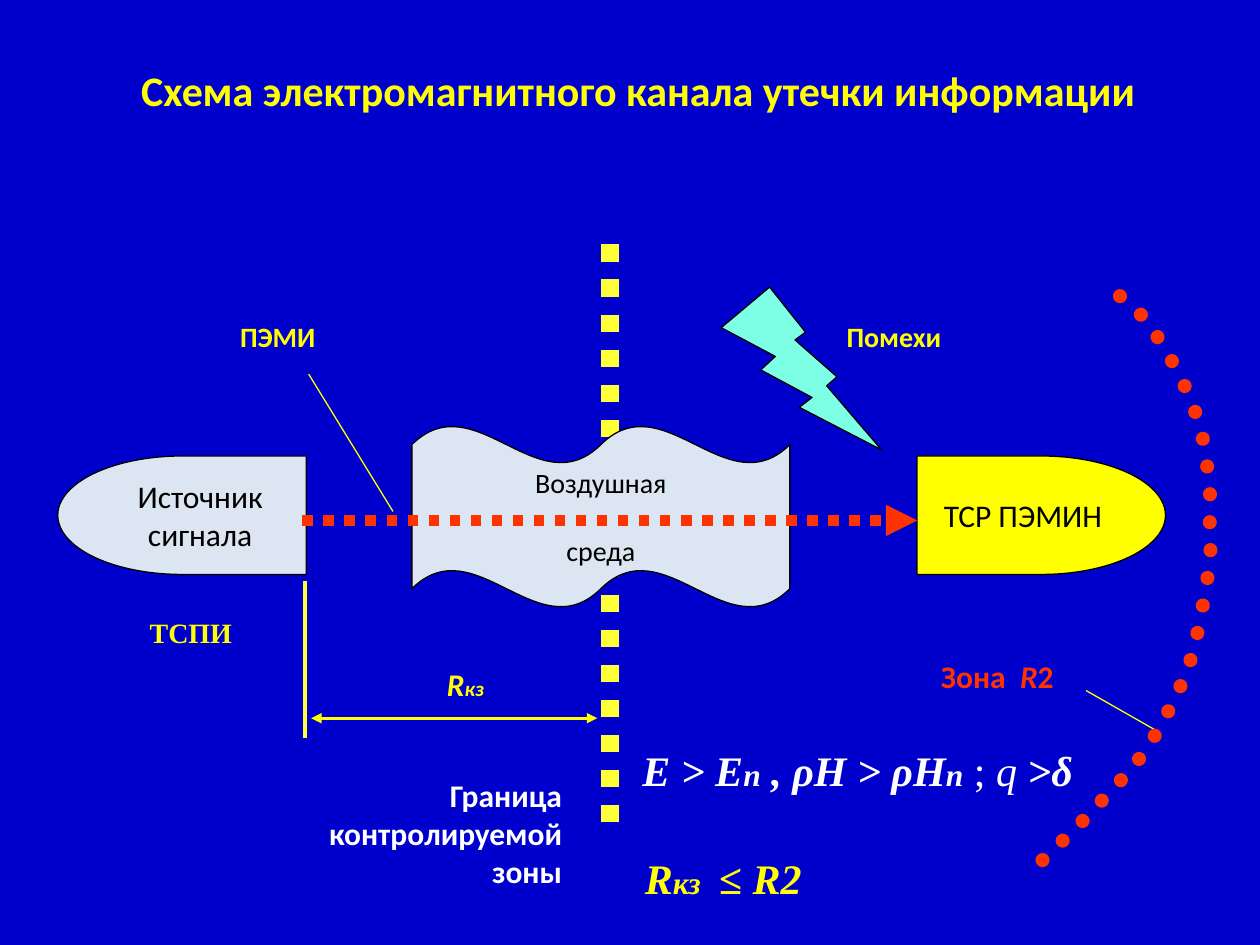
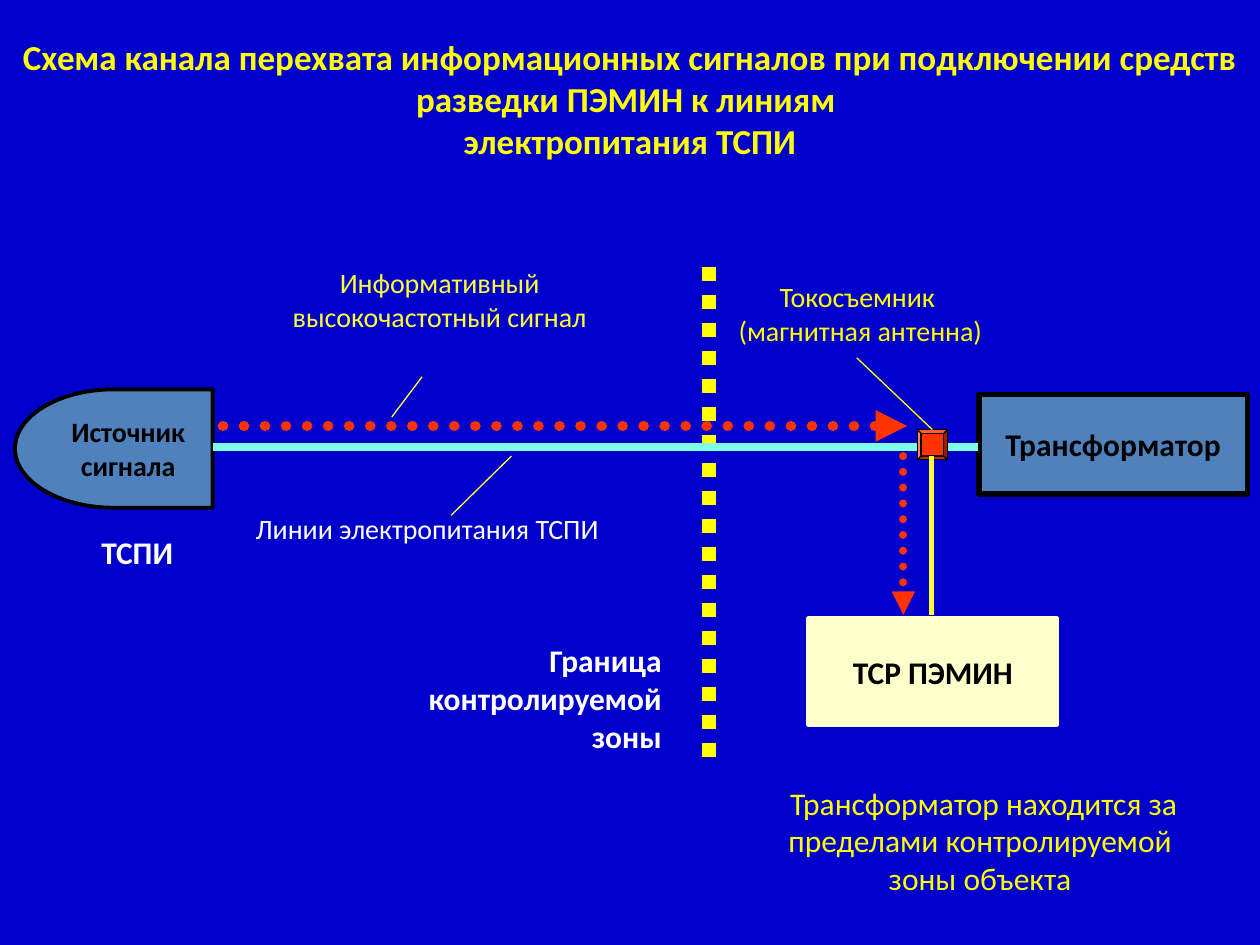
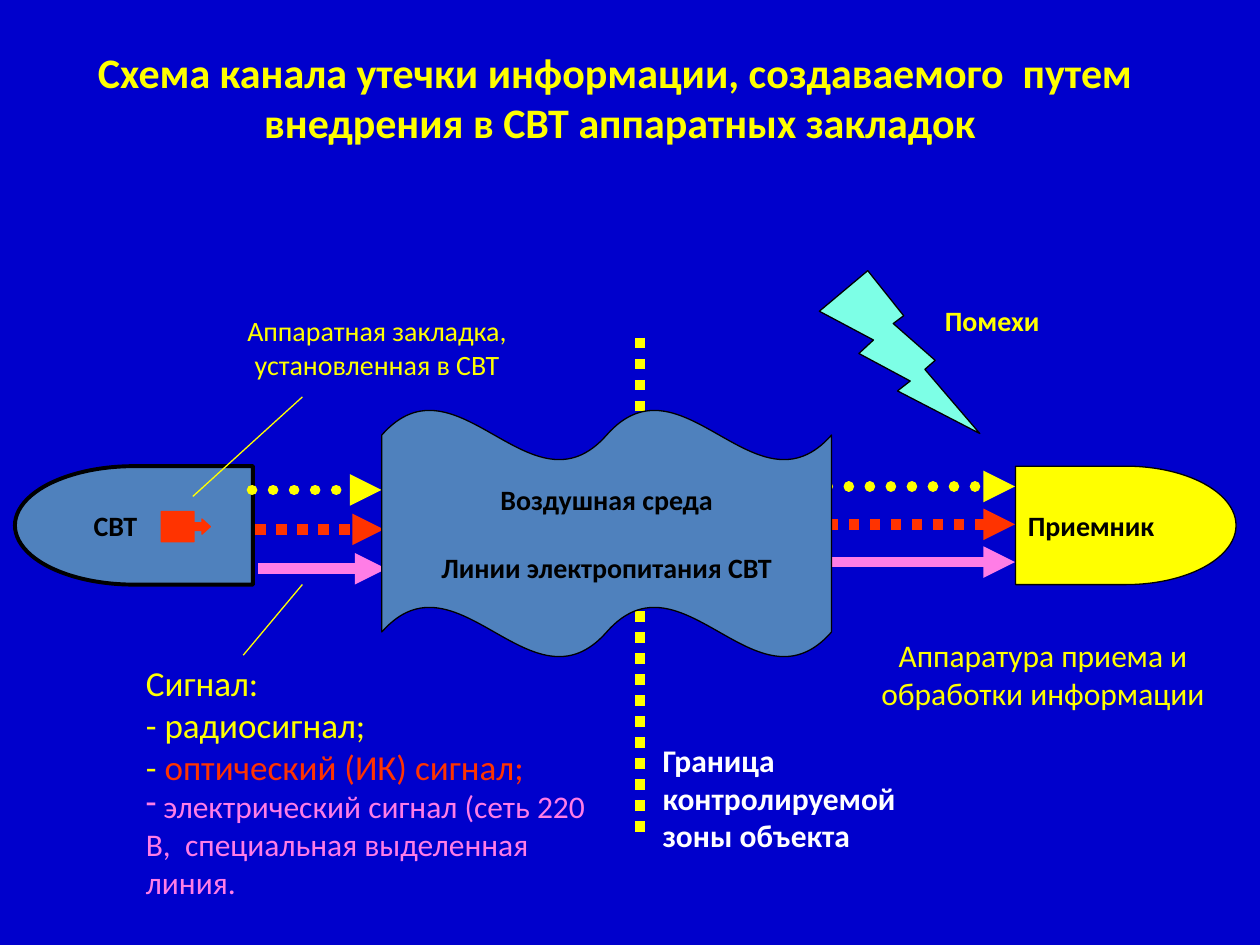
from dataclasses import dataclass, field, replace

from lxml import etree
from pptx import Presentation
from pptx.dml.color import RGBColor
from pptx.enum.shapes import MSO_CONNECTOR, MSO_SHAPE
from pptx.enum.text import MSO_ANCHOR, PP_ALIGN
from pptx.oxml.ns import qn
from pptx.util import Pt

LEFT, CENTER, RIGHT = PP_ALIGN.LEFT, PP_ALIGN.CENTER, PP_ALIGN.RIGHT
TOP, MIDDLE = MSO_ANCHOR.TOP, MSO_ANCHOR.MIDDLE
STRAIGHT = MSO_CONNECTOR.STRAIGHT
DELAY, WAVE = MSO_SHAPE.FLOWCHART_DELAY, MSO_SHAPE.DOUBLE_WAVE
RECTANGLE, BEVEL = MSO_SHAPE.RECTANGLE, MSO_SHAPE.BEVEL
BOLT, CALLOUT = MSO_SHAPE.LIGHTNING_BOLT, MSO_SHAPE.RIGHT_ARROW_CALLOUT

NAVY, YELLOW, LEMON, WHITE, BLACK = "0000CC", "FFFF00", "FFFF37", "FFFFFF", "000000"
RED, PINK, AQUA = "FF3300", "FF7DE6", "7DFFE6"
PALE, STEEL, CREAM, NEAR_WHITE = "DCE6F2", "4F81BD", "FFFFCC", "FDFDFD"
SANS, SERIF = "Calibri", "Times New Roman"

Box = tuple[float, float, float, float]
Point = tuple[float, float]


@dataclass(frozen=True)
class Style:
    size: float = 18
    color: str = YELLOW
    bold: bool = False
    italic: bool = False
    font: str = SANS


@dataclass(frozen=True)
class Piece:
    text: str
    style: Style


@dataclass(frozen=True)
class Label:
    box: Box
    text: str
    style: Style
    align: PP_ALIGN = CENTER
    anchor: MSO_ANCHOR = TOP


@dataclass(frozen=True)
class MixedLabel:
    box: Box
    rows: list[list[Piece]]
    align: PP_ALIGN = LEFT
    bulleted_rows: tuple[int, ...] = ()


@dataclass(frozen=True)
class Block:
    kind: MSO_SHAPE
    box: Box
    fill: str
    text: str = ""
    style: Style = field(default_factory=Style)
    line_color: str = BLACK
    line_width: float = 0.75
    flipped: bool = False
    rotation: float = 0
    adjustments: tuple[float, ...] = ()
    align: PP_ALIGN = CENTER
    margin_left: float = 7.2
    row_gap: float = 0


@dataclass(frozen=True)
class Line:
    start: Point
    end: Point
    color: str = YELLOW
    width: float = 0.75
    dotted: bool = False
    round_dots: bool = False
    head: bool = False
    tail: bool = False


@dataclass(frozen=True)
class DottedCurve:
    """A start point followed by cubic Bezier triplets."""
    points: list[Point]
    color: str
    width: float
    steps: int = 6


def rgb(color: str) -> RGBColor:
    return RGBColor.from_string(color)


def format_run(run, style: Style) -> None:
    font = run.font
    font.name, font.size = style.font, Pt(style.size)
    font.bold, font.italic = style.bold, style.italic
    font.color.rgb = rgb(style.color)


def write_text(text_frame, text: str, style: Style, align, anchor, row_gap: float = 0) -> None:
    text_frame.text = text
    text_frame.word_wrap = True
    text_frame.vertical_anchor = anchor
    for index, paragraph in enumerate(text_frame.paragraphs):
        paragraph.alignment = align
        if index and row_gap:
            paragraph.space_before = Pt(row_gap)
        for run in paragraph.runs:
            format_run(run, style)


def add_text_frame(slide, box: Box):
    return slide.shapes.add_textbox(*map(Pt, box)).text_frame


def draw_label(slide, label: Label) -> None:
    write_text(add_text_frame(slide, label.box), label.text, label.style, label.align, label.anchor)


def draw_mixed_label(slide, label: MixedLabel) -> None:
    text_frame = add_text_frame(slide, label.box)
    text_frame.word_wrap = True
    for index, row in enumerate(label.rows):
        paragraph = text_frame.add_paragraph() if index else text_frame.paragraphs[0]
        paragraph.alignment = label.align
        if index in label.bulleted_rows:
            properties = paragraph._p.get_or_add_pPr()
            etree.SubElement(properties, qn("a:buChar")).set("char", "-")
        for piece in row:
            run = paragraph.add_run()
            run.text = piece.text
            format_run(run, piece.style)


def draw_block(slide, block: Block) -> None:
    shape = slide.shapes.add_shape(block.kind, *map(Pt, block.box))
    shape.shadow.inherit = False
    shape.fill.solid()
    shape.fill.fore_color.rgb = rgb(block.fill)
    shape.line.color.rgb = rgb(block.line_color)
    shape.line.width = Pt(block.line_width)
    shape.rotation = block.rotation
    for index, value in enumerate(block.adjustments):
        shape.adjustments[index] = value
    if block.flipped:
        shape._element.spPr.get_or_add_xfrm().set("flipH", "1")
    if block.text:
        shape.text_frame.margin_left = Pt(block.margin_left)
        write_text(shape.text_frame, block.text, block.style, block.align, MIDDLE, block.row_gap)


def style_line(shape, color: str, width: float, dotted: bool, round_dots: bool):
    shape.line.color.rgb = rgb(color)
    shape.line.width = Pt(width)
    outline = shape._element.spPr.get_or_add_ln()
    if round_dots:
        outline.set("cap", "rnd")
    if dotted:
        etree.SubElement(outline, qn("a:prstDash")).set("val", "sysDot")
    return outline


def draw_line(slide, line: Line) -> None:
    connector = slide.shapes.add_connector(STRAIGHT, *map(Pt, line.start + line.end))
    outline = style_line(connector, line.color, line.width, line.dotted, line.round_dots)
    for tag, wanted in (("a:headEnd", line.head), ("a:tailEnd", line.tail)):
        if wanted:
            etree.SubElement(outline, qn(tag)).set("type", "triangle")
    etree.SubElement(connector._element.spPr, qn("a:effectLst"))


def bezier_point(controls: list[Point], t: float) -> Point:
    weights = ((1 - t) ** 3, 3 * t * (1 - t) ** 2, 3 * t * t * (1 - t), t ** 3)
    x, y = (sum(w * p[axis] for w, p in zip(weights, controls)) for axis in (0, 1))
    return x, y


def draw_curve(slide, curve: DottedCurve) -> None:
    points = [
        bezier_point(curve.points[first:first + 4], step / curve.steps)
        for first in range(0, len(curve.points) - 1, 3)
        for step in range(1, curve.steps + 1)
    ]
    builder = slide.shapes.build_freeform(*map(Pt, curve.points[0]))
    builder.add_line_segments([(Pt(x), Pt(y)) for x, y in points], close=False)
    shape = builder.convert_to_shape()
    shape.shadow.inherit = False
    shape.fill.background()
    style_line(shape, curve.color, curve.width, dotted=True, round_dots=True)


DRAWERS = {
    Label: draw_label,
    MixedLabel: draw_mixed_label,
    Block: draw_block,
    Line: draw_line,
    DottedCurve: draw_curve,
}


def add_diagram(presentation, items: list) -> None:
    """Add a blank slide and draw the items from back to front."""
    slide = presentation.slides.add_slide(presentation.slide_layouts[6])
    for item in items:
        DRAWERS[type(item)](slide, item)


def title(box: Box, text: str, size: float) -> Label:
    return Label(box, text, Style(size, bold=True), anchor=MIDDLE)


def zone_boundary(x: float, top: float, bottom: float, width: float, color: str = YELLOW) -> Line:
    return Line((x, top), (x, bottom), color, width, dotted=True)


def zone_caption(left: float, top: float, text: str, align=RIGHT) -> Label:
    return Label((left, top, 167, 72), text, Style(color=WHITE, bold=True), align)


def terminal(left: float, top: float, width: float, fill: str, text: str, style: Style,
             **options) -> Block:
    return Block(DELAY, (left, top, width, 67.7), fill, text, style, **options)


def air_wave(box: Box, fill: str, text: str, bold: bool) -> Block:
    return Block(WAVE, box, fill, text, Style(16, BLACK, bold),
                 adjustments=(0.103, 0), row_gap=19.5)


def interference(left: float, top: float) -> list:
    return [
        Block(BOLT, (left, top, 79.2, 102.2), AQUA, rotation=350.7),
        Label((left + 40, top + 17.3, 108, 26.6), "Помехи", Style(16, bold=True)),
    ]


def electromagnetic_channel() -> list:
    black = Style(color=BLACK)
    red = Style(color=RED, bold=True)
    radius = Style(bold=True, italic=True)
    condition = Style(24, bold=True, italic=True, font=SERIF)
    subscript = replace(condition, size=18)
    energy = replace(condition, color=NEAR_WHITE)
    energy_index = replace(energy, size=18)
    quality = Style(24, WHITE, font=SERIF)
    zone_r2 = [
        (640, 169.2),
        (645.8, 173.5), (651.6, 178.6), (657.4, 186.5),
        (662.4, 193.7), (669.6, 205.2), (673.9, 214.6),
        (679, 223.9), (682.6, 232.6), (685.4, 243.4),
        (689, 253.4), (689.8, 268.6), (691.2, 277.2),
        (691.9, 285.8), (691.2, 286.6), (691.2, 293.8),
        (691.2, 301.7), (692.6, 308.2), (691.2, 322.6),
        (689, 336.2), (685.4, 361.4), (679.7, 379.4),
        (673.9, 396), (665.3, 411.1), (657.4, 424.8),
        (648.7, 437.8), (639.4, 447.1), (628.6, 458.6),
        (618.5, 470.2), (600.5, 486.7), (594.7, 492.5),
    ]
    return [
        zone_boundary(348.5, 139.7, 474.5, 10, LEMON),
        MixedLabel((513.4, 372.2, 113, 28.8), [[
            Piece("Зона  ", red), Piece("R", replace(red, italic=True)), Piece("2", red),
        ]], CENTER),
        terminal(33, 260.6, 142, PALE, "Источник\nсигнала", black, flipped=True),
        terminal(524, 260.6, 142, YELLOW, "ТСР ПЭМИН", black),
        Label((127.4, 179.3, 62.6, 26.6), "ПЭМИ", Style(16, bold=True)),
        Line((176.4, 213.8), (224.6, 292.3)),
        zone_caption(161.3, 440, "Граница контролируемой зоны"),
        Line((620.6, 394.6), (661, 417.6)),
        title((28.8, 31.7, 671.8, 39.6), "Схема электромагнитного канала утечки информации", 24),
        air_wave((235.4, 243.4, 216, 103.7), PALE, "Воздушная\nсреда", False),
        Line((172.8, 297.4), (524.2, 297.4), RED, 6, dotted=True, tail=True),
        *interference(416.9, 162),
        DottedCurve(zone_r2, RED, 8),
        Line((174.2, 331.9), (174.2, 421.9), LEMON, 2.25),
        Line((177.8, 410.4), (341.3, 410.4), width=1.5, head=True, tail=True),
        MixedLabel((209.5, 376.6, 113, 28.8), [[
            Piece("R", radius), Piece("кз", replace(radius, size=12)),
        ]], CENTER),
        MixedLabel((348.5, 483.8, 129.6, 36.7), [[
            Piece("R", condition), Piece("кз ", subscript), Piece(" ", condition),
            Piece("≤ ", replace(condition, italic=False)), Piece("R2", condition),
        ]], CENTER),
        Label((78.5, 348.5, 67.7, 26.6), "ТСПИ", Style(16, bold=True, font=SERIF), LEFT),
        MixedLabel((360, 421.9, 276.5, 36.7), [[
            Piece("Е > Е", energy), Piece("п", energy_index),
            Piece(" , ρН > ρН", energy), Piece("п", energy_index),
            Piece(" ; ", quality), Piece("q", replace(quality, italic=True)),
            Piece(" >δ", energy),
        ]]),
    ]


def power_line_channel() -> list:
    black_bold = Style(color=BLACK, bold=True)
    return [
        zone_boundary(405.4, 152.6, 436.3, 8),
        terminal(8.6, 222.5, 113, STEEL, "Источник\nсигнала", Style(16, BLACK, True),
                 line_width=2.25, flipped=True),
        zone_caption(218.2, 362.9, "Граница контролируемой зоны"),
        Label((151.9, 148.3, 198.7, 65.5), "Информативный высокочастотный сигнал",
              Style(16, LEMON)),
        title((0, 16, 720, 81),
              "Схема канала перехвата информационных сигналов при подключении средств "
              "разведки ПЭМИН к линиям \nэлектропитания ТСПИ", 20),
        Block(RECTANGLE, (559.4, 225.4, 153.4, 56.9), STEEL, "Трансформатор", black_bold,
              line_width=3),
        Line((516.2, 260.6), (516.2, 351.4), RED, 4.5, dotted=True, round_dots=True, tail=True),
        Line((121.7, 255.6), (558.7, 255.6), AQUA, 4.5),
        Block(RECTANGLE, (462.2, 353.5, 141.8, 60.5), CREAM, "ТСР ПЭМИН", black_bold,
              line_color=CREAM, line_width=3),
        Label((139, 288.7, 253.4, 26.6), "Линии электропитания ТСПИ", Style(16, WHITE), LEFT),
        Block(BEVEL, (524.2, 245.5, 17.3, 17.3), RED, adjustments=(0.125,)),
        Line((532.1, 260.6), (532.1, 351.4), LEMON, 3),
        Line((127.4, 243.4), (518.4, 243.4), RED, 6, dotted=True, round_dots=True, tail=True),
        Line((292.3, 260.6), (257.8, 294.5), LEMON),
        Line((241.2, 215.3), (223.9, 238.3), LEMON),
        Label((404.6, 156.2, 174.2, 46.1), "Токосъемник \n(магнитная антенна)", Style(16)),
        Line((489.6, 204.5), (532.8, 245.5)),
        Label((44.6, 301, 67.7, 29), "ТСПИ", Style(color=WHITE, bold=True), anchor=MIDDLE),
        Label((404.6, 444.2, 315, 72.7),
              "Трансформатор находится за пределами контролируемой \nзоны объекта ", Style()),
    ]


def hardware_implant_channel() -> list:
    black_bold = Style(16, BLACK, True)
    large = Style(20)
    signals = []
    for index, (color, dotted, round_dots) in enumerate(
            [(YELLOW, True, True), (RED, True, False), (PINK, False, False)]):
        sent_y, received_y = 280 + 22.5 * index, 278 + 21.6 * index
        for start, end in (
            ((144 + 1.8 * index, sent_y), (218 + 1.4 * index, sent_y)),
            ((473, received_y), (580, received_y)),
        ):
            signals.append(Line(start, end, color, 6, dotted, round_dots, tail=True))
    return [
        zone_boundary(365.8, 193, 475.9, 6),
        Label((477, 360, 238, 50.4), "Аппаратура приема и обработки информации", Style()),
        MixedLabel((76.3, 374.4, 277.9, 145.4), [
            [Piece("Сигнал:", large)],
            [Piece("- радиосигнал;", large)],
            [Piece("- ", large), Piece("оптический (ИК) сигнал;", replace(large, color=RED))],
            [Piece(" электрический сигнал (сеть 220 В,  специальная выделенная линия.",
                   Style(color=PINK))],
        ], bulleted_rows=(3,)),
        terminal(580.3, 266.4, 126, YELLOW, "Приемник", black_bold, align=LEFT),
        terminal(8.6, 266.4, 136, STEEL, "СВТ", black_bold, line_width=2.25, flipped=True,
                 align=LEFT, margin_left=25),
        title((0, 22.3, 708.5, 65.5),
              "Схема канала утечки информации, создаваемого  путем \n"
              "внедрения в СВТ аппаратных закладок", 24),
        Label((105, 175.7, 221, 46), "Аппаратная закладка, установленная в СВТ", Style(16)),
        Block(CALLOUT, (92.2, 292.3, 28, 17.3), RED, line_color=RED,
              adjustments=(0.25, 0.25, 0.277, 0.667)),
        zone_caption(371.5, 419.8, "Граница контролируемой зоны объекта", LEFT),
        *signals,
        Line((172.8, 226.8), (110.2, 283.7)),
        Line((172.8, 334), (139, 374.4)),
        *interference(473, 152.6),
        air_wave((218.2, 234, 257, 141.8), STEEL,
                 "Воздушная среда\nЛинии электропитания СВТ", True),
    ]


def main() -> None:
    presentation = Presentation()
    presentation.slide_width, presentation.slide_height = Pt(720), Pt(540)
    background = presentation.slide_master.background.fill
    background.solid()
    background.fore_color.rgb = rgb(NAVY)
    for diagram in (electromagnetic_channel, power_line_channel, hardware_implant_channel):
        add_diagram(presentation, diagram())
    presentation.save("out.pptx")


if __name__ == "__main__":
    main()
